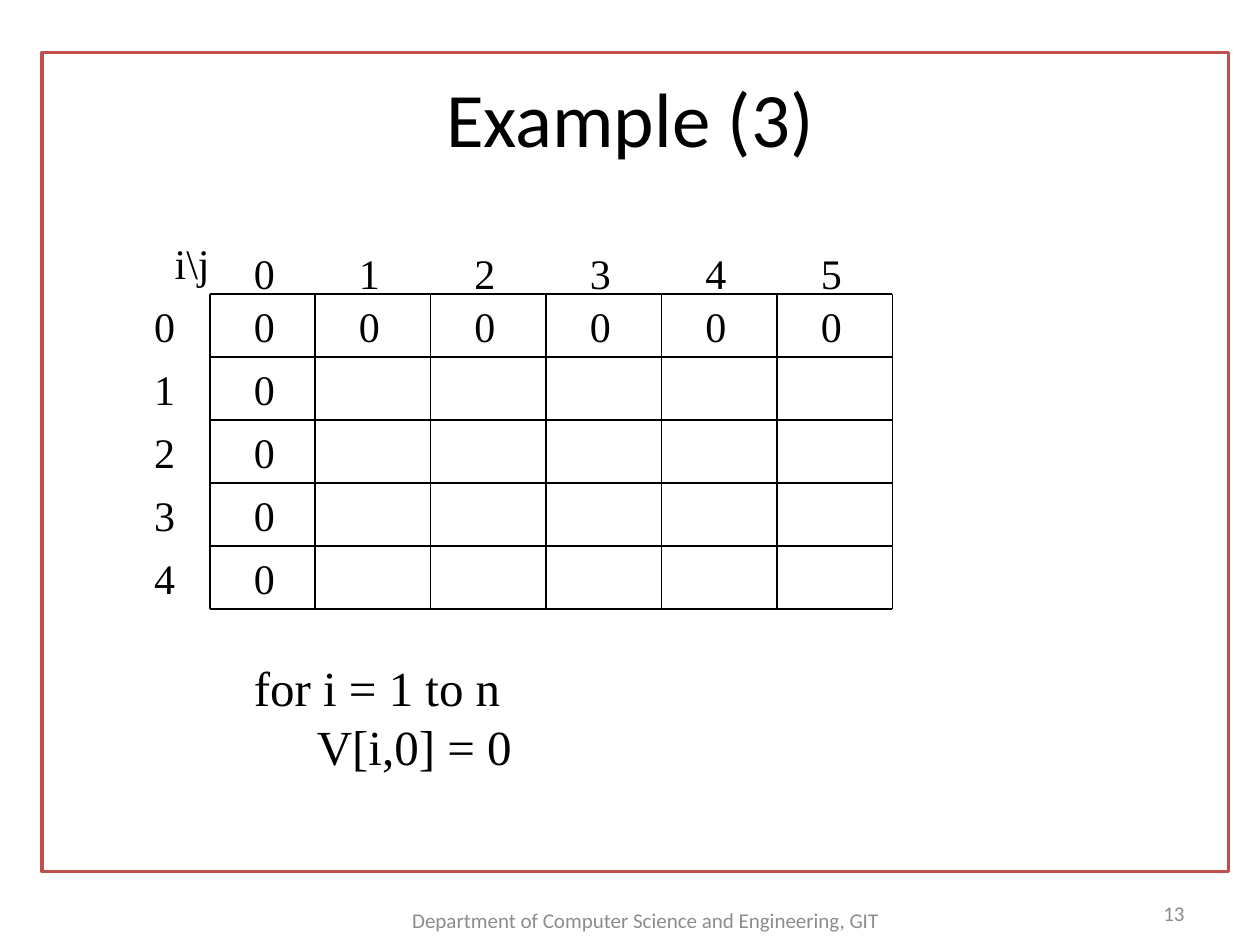
"""Build the Example (3) slide: a table grid whose first row and column are zero."""
from lxml import etree
from pptx import Presentation
from pptx.dml.color import RGBColor
from pptx.enum import shapes, text
from pptx.oxml import ns
from pptx.util import Pt

COLORS = {"ink": "000000", "paper": "FFFFFF", "frame": "C0504D", "footer": "8C8C8C"}
SERIF, SANS = "Times New Roman", "Calibri"
ALIGN, ANCHOR = text.PP_ALIGN, text.MSO_ANCHOR


def write(words, left, top, width, height, shape=None, size=24, font=SERIF, color="ink",
          align=ALIGN.LEFT, anchor=ANCHOR.TOP, wrap=True, bottom=3.6):
    box = [Pt(value) for value in (left, top, width, height)]
    if shape is None:
        shape = slide.shapes.add_textbox(*box)
    shape.left, shape.top, shape.width, shape.height = box
    frame = shape.text_frame
    frame.text = words
    frame.word_wrap = wrap
    frame.vertical_anchor = anchor
    frame.margin_bottom = Pt(bottom)
    for paragraph in frame.paragraphs:
        paragraph.alignment = align
        for run in paragraph.runs:
            run.font.size = Pt(size)
            run.font.name = font
            run.font.color.rgb = RGBColor.from_string(COLORS[color])


def draw_line(x1, y1, x2, y2):
    line = slide.shapes.add_connector(
        shapes.MSO_CONNECTOR.STRAIGHT, Pt(x1), Pt(y1), Pt(x2), Pt(y2))
    line.line.color.rgb = RGBColor.from_string(COLORS["ink"])
    line.line.width = Pt(0.75)
    etree.SubElement(line._element.spPr, ns.qn("a:effectLst"))


presentation = Presentation()
presentation.slide_width, presentation.slide_height = Pt(720), Pt(540)
slide = presentation.slides.add_slide(presentation.slide_layouts[5])
title = slide.shapes.title

border = slide.shapes.add_shape(
    shapes.MSO_SHAPE.RECTANGLE, Pt(24), Pt(30), Pt(678), Pt(468))
border.shadow.inherit = False
border.fill.solid()
border.fill.fore_color.rgb = RGBColor.from_string(COLORS["paper"])
border.line.color.rgb = RGBColor.from_string(COLORS["frame"])
border.line.width = Pt(2)
title._element.addprevious(border._element)

write("Example (3)", 36, 21.6, 648, 90, shape=title, size=44, font=SANS,
      align=ALIGN.CENTER, anchor=ANCHOR.MIDDLE)

column_lines = [120] + [180 + 66 * step for step in range(6)]
row_lines = [168 + 36 * step for step in range(6)]
for x in column_lines:
    draw_line(x, row_lines[0], x, row_lines[-1])
for y in row_lines:
    draw_line(column_lines[0], y, column_lines[-1], y)

digits = []
for column, x in enumerate(column_lines[:-1]):
    digits += [(column, x + 18, 138), (0, x + 18, row_lines[0])]
for row, y in enumerate(row_lines[:-1]):
    digits.append((row, 81, y))
    if row > 0:
        digits.append((0, column_lines[0] + 18, y))
for digit, x, y in digits:
    write(str(digit), x, y, 26.4, 36, wrap=False)

write("i\\j", 82.8, 132, 54, 36, align=ALIGN.CENTER)
write("for i = 1 to n\n\tV[i,0] = 0", 138, 372, 270, 74.4, size=28)
write("Department of Computer Science and Engineering, GIT", 222, 511.2, 294, 28.8,
      size=12, font=SANS, color="footer", align=ALIGN.CENTER, anchor=ANCHOR.MIDDLE)
write("13", 642, 500.4, 42, 28.8, size=12, font=SANS, color="footer",
      align=ALIGN.RIGHT, anchor=ANCHOR.BOTTOM, bottom=0)

presentation.save("out.pptx")
